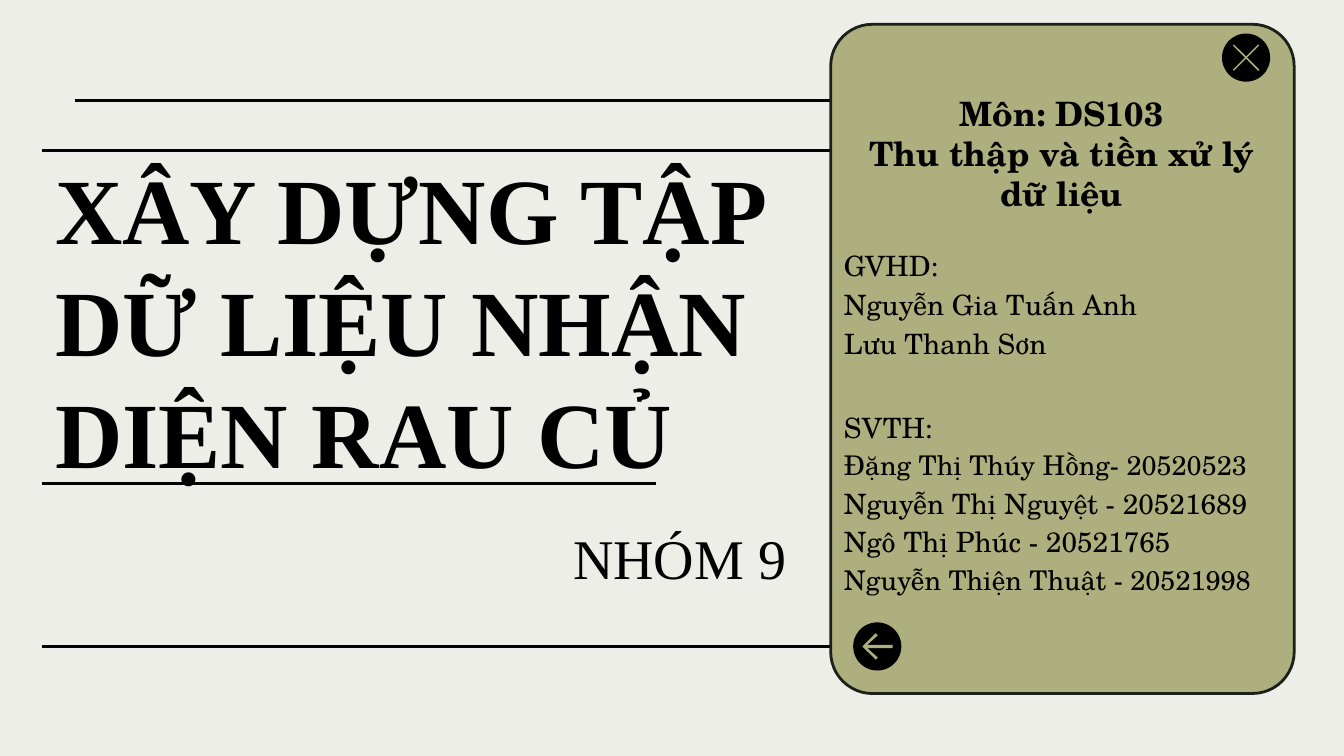
from dataclasses import dataclass
from typing import NamedTuple

import pptx
import pptx.dml.color
import pptx.enum.shapes
import pptx.enum.text
import pptx.util
from lxml import etree
from pptx.oxml import ns

Cm = pptx.util.Cm
Pt = pptx.util.Pt
Align = pptx.enum.text.PP_ALIGN
Anchor = pptx.enum.text.MSO_ANCHOR
Shape = pptx.enum.shapes.MSO_SHAPE


@dataclass(frozen=True)
class Theme:
    paper: str = "EEEEE9"
    ink: str = "000000"
    olive: str = "ADAF7E"
    border: str = "1B2119"
    serif: str = "Times New Roman"
    schola: str = "TeX Gyre Schola"
    title_size: float = 50
    group_size: float = 30
    subject_size: float = 18
    body_size: float = 15
    tight_size: float = 14.5
    line_width: float = 1.5


THEME = Theme()


class Box(NamedTuple):
    left: float
    top: float
    width: float
    height: float


class Rule(NamedTuple):
    left: float
    right: float
    top: float


class Line(NamedTuple):
    text: str
    size: float
    spacing: float = 1.0


@dataclass(frozen=True)
class TextBlock:
    box: Box
    lines: list[Line]
    font: str
    bold: bool = False
    align: Align = Align.LEFT
    anchor: Anchor = Anchor.TOP


@dataclass(frozen=True)
class Badge:
    center_x: float
    center_y: float
    icon: list[tuple[float, float]]


BADGE_SIZE = 0.91
CARD = Box(15.7, 0.46, 8.76, 12.65)
RULES = [
    Rule(1.42, 23.88, 1.9),
    Rule(0.79, 23.24, 2.84),
    Rule(0.79, 23.24, 12.22),
    Rule(0.79, 12.4, 9.14),
]

CROSS_ARM = [(0, -0.02), (0.23, -0.25), (0.25, -0.23)]
CROSS = (
    CROSS_ARM
    + [(-y, x) for x, y in CROSS_ARM]
    + [(-x, -y) for x, y in CROSS_ARM]
    + [(y, -x) for x, y in CROSS_ARM]
)
ARROW_HALF = [(-0.03, -0.25), (0.01, -0.21), (-0.19, -0.03), (0.29, -0.03)]
ARROW = [(-0.28, 0)] + ARROW_HALF + [(x, -y) for x, y in reversed(ARROW_HALF)]
BADGES = [Badge(23.55, 1.09, CROSS), Badge(16.58, 12.22, ARROW)]

TITLE = TextBlock(
    Box(0.79, 3.33, 15.34, 5.41),
    [Line("XÂY DỰNG TẬP DỮ LIỆU NHẬN DIỆN RAU CỦ", THEME.title_size)],
    THEME.serif,
    bold=True,
    anchor=Anchor.MIDDLE,
)
TEXT_BLOCKS = [
    TextBlock(
        Box(16.13, 1.5, 7.87, 2.69),
        [
            Line("Môn: DS103", THEME.subject_size),
            Line("Thu thập và tiền xử lý dữ liệu", THEME.subject_size),
        ],
        THEME.schola,
        bold=True,
        align=Align.CENTER,
    ),
    TextBlock(
        Box(8.1, 9.78, 7.01, 1.8),
        [Line("NHÓM 9", THEME.group_size, 0.7)],
        THEME.serif,
        align=Align.RIGHT,
        anchor=Anchor.MIDDLE,
    ),
    TextBlock(
        Box(CARD.left, 4.14, CARD.width, 2.69),
        [
            Line("GVHD:", THEME.body_size, 1.5),
            Line("Nguyễn Gia Tuấn Anh", THEME.body_size, 1.15),
            Line("Lưu Thanh Sơn", THEME.body_size, 1.15),
        ],
        THEME.schola,
    ),
    TextBlock(
        Box(CARD.left, 7.19, CARD.width, 4.62),
        [
            Line("SVTH:", THEME.body_size, 1.5),
            Line("Đặng Thị Thúy Hồng- 20520523", THEME.tight_size, 1.15),
            Line("Nguyễn Thị Nguyệt - 20521689", THEME.body_size, 1.15),
            Line("Ngô Thị Phúc - 20521765", THEME.body_size, 1.15),
            Line("Nguyễn Thiện Thuật - 20521998", THEME.tight_size, 1.15),
        ],
        THEME.schola,
    ),
]


def color(value: str) -> pptx.dml.color.RGBColor:
    return pptx.dml.color.RGBColor.from_string(value)


def fill_plain(shape, value: str) -> None:
    shape.shadow.inherit = False
    shape.fill.solid()
    shape.fill.fore_color.rgb = color(value)
    shape.line.fill.background()


def draw_rule(slide, rule: Rule) -> None:
    connector = slide.shapes.add_connector(
        pptx.enum.shapes.MSO_CONNECTOR.STRAIGHT,
        Cm(rule.left), Cm(rule.top), Cm(rule.right), Cm(rule.top),
    )
    connector.line.color.rgb = color(THEME.ink)
    connector.line.width = Pt(THEME.line_width)
    properties = connector.element.find(ns.qn("p:spPr"))
    etree.SubElement(properties, ns.qn("a:effectLst"))


def draw_card(slide) -> None:
    card = slide.shapes.add_shape(Shape.ROUNDED_RECTANGLE, *map(Cm, CARD))
    card.adjustments[0] = 0.09
    fill_plain(card, THEME.olive)
    card.line.color.rgb = color(THEME.border)
    card.line.width = Pt(THEME.line_width)


def write_text(shape, block: TextBlock) -> None:
    frame = shape.text_frame
    frame.word_wrap = True
    frame.auto_size = pptx.enum.text.MSO_AUTO_SIZE.NONE
    frame.vertical_anchor = block.anchor
    frame.margin_left = frame.margin_right = Cm(0.25)
    frame.margin_top = frame.margin_bottom = Cm(0.25)
    for index, line in enumerate(block.lines):
        paragraph = frame.add_paragraph() if index else frame.paragraphs[0]
        paragraph.alignment = block.align
        paragraph.line_spacing = line.spacing
        run = paragraph.add_run()
        run.text = line.text
        run.font.name = block.font
        run.font.size = Pt(line.size)
        run.font.bold = block.bold
        run.font.color.rgb = color(THEME.ink)


def draw_title(slide) -> None:
    title = slide.shapes.title
    title.left, title.top, title.width, title.height = map(Cm, TITLE.box)
    write_text(title, TITLE)


def draw_badge(slide, badge: Badge) -> None:
    group = slide.shapes.add_group_shape()
    circle = group.shapes.add_shape(
        Shape.OVAL,
        Cm(badge.center_x - BADGE_SIZE / 2), Cm(badge.center_y - BADGE_SIZE / 2),
        Cm(BADGE_SIZE), Cm(BADGE_SIZE),
    )
    fill_plain(circle, THEME.ink)
    points = [(Cm(badge.center_x + x), Cm(badge.center_y + y)) for x, y in badge.icon]
    builder = group.shapes.build_freeform(*points[0])
    builder.add_line_segments(points[1:], close=True)
    fill_plain(builder.convert_to_shape(), THEME.olive)


def main() -> None:
    presentation = pptx.Presentation()
    presentation.slide_width = Cm(25.4)
    presentation.slide_height = Cm(14.29)
    slide = presentation.slides.add_slide(presentation.slide_layouts[5])
    slide.background.fill.solid()
    slide.background.fill.fore_color.rgb = color(THEME.paper)
    draw_title(slide)
    for rule in RULES:
        draw_rule(slide, rule)
    draw_card(slide)
    for block in TEXT_BLOCKS:
        write_text(slide.shapes.add_textbox(*map(Cm, block.box)), block)
    for badge in BADGES:
        draw_badge(slide, badge)
    presentation.save("out.pptx")


if __name__ == "__main__":
    main()
